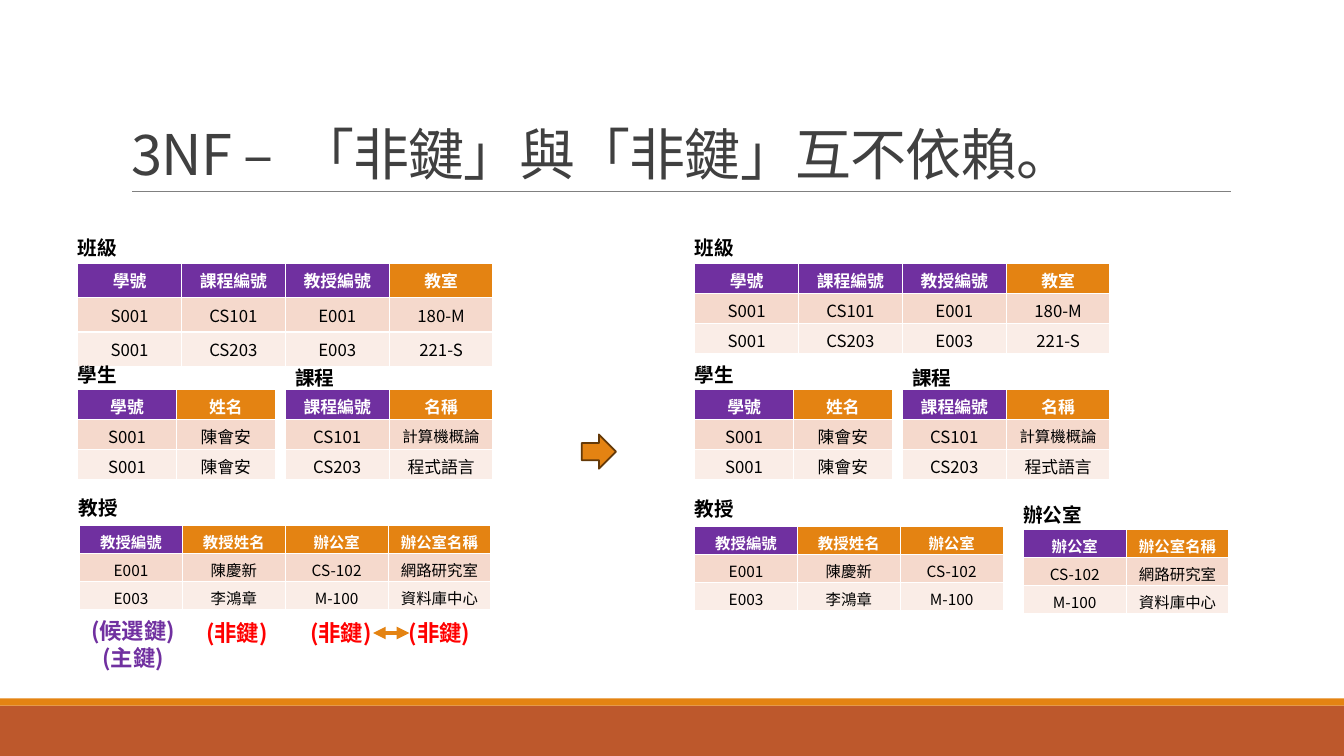
from lxml import etree
from pptx import Presentation
from pptx.dml.color import RGBColor
from pptx.enum.shapes import MSO_CONNECTOR, MSO_SHAPE
from pptx.enum.text import MSO_ANCHOR, MSO_AUTO_SIZE, PP_ALIGN
from pptx.oxml.ns import qn
from pptx.util import Inches, Pt

LEFT, MID = PP_ALIGN.LEFT, PP_ALIGN.CENTER
RECT, DOWN = MSO_SHAPE.RECTANGLE, MSO_SHAPE.DOWN_ARROW
LINE = MSO_CONNECTOR.STRAIGHT
GROW = MSO_AUTO_SIZE.SHAPE_TO_FIT_TEXT

# Title pieces with their letter spacing, in hundredths of a point
TITLE = [("3NF –", -50), (" ", 900), ("「非鍵」與「非鍵」互不依賴。", -50)]

CLASS = [("學號", "課程編號", "教授編號", "教室"),
         ("S001", "CS101", "E001", "180-M"),
         ("S001", "CS203", "E003", "221-S")]
STUDENT = [("學號", "姓名"), ("S001", "陳會安"), ("S001", "陳會安")]
COURSE = [("課程編號", "名稱"), ("CS101", "計算機概論"), ("CS203", "程式語言")]
STAFF = [("教授編號", "教授姓名", "辦公室", "辦公室名稱"),
         ("E001", "陳慶新", "CS-102", "網路研究室"),
         ("E003", "李鴻章", "M-100", "資料庫中心")]
STAFF_3NF = [row[:3] for row in STAFF]
OFFICE = [row[2:] for row in STAFF]


class Theme:
    font = "Noto Sans CJK SC"
    key, accent, band = "7030A0", "E48312", "BD582C"
    rows = ("F5D9CC", "FAEDE7")
    white, black, red = "FFFFFF", "000000", "FF0000"
    title, rule, edge = "404040", "808080", "643908"
    head_size, mark_size, name_size = 40, 16, 14
    cell_size, small_size = 12, 11


BEFORE, AFTER = 0.77, 6.89
# rows, left, top, column width, key columns, text size, bottom margin
TABLES = [
    (CLASS, BEFORE, 2.61, 1.03, 3, Theme.cell_size, 0.05),
    (CLASS, AFTER, 2.61, 1.03, 3, Theme.cell_size, 0),
    (STAFF, 0.79, 5.21, 1.02, 1, Theme.small_size, 0),
    (STAFF_3NF, AFTER, 5.22, 1.02, 1, Theme.small_size, 0),
    (OFFICE, 10.15, 5.25, 1.02, 1, Theme.small_size, 0),
]
NAMES = [("教授", 0.68, 4.87, 0.74), ("教授", 6.79, 4.88, 0.74),
         ("辦公室", 10.05, 4.94, 1.04)]
for side in (BEFORE, AFTER):
    TABLES += [(STUDENT, side, 3.86, 0.98, 1, Theme.cell_size, 0),
               (COURSE, side + 2.06, 3.86, 1.03, 1, Theme.cell_size, 0)]
    NAMES += [("班級", side - 0.1, 2.29, 0.74),
              ("學生", side - 0.1, 3.55, 0.74),
              ("課程", side + 2.06, 3.58, 0.74)]
MARKS = [("(候選鍵)\n(主鍵)", 0.68, 6.07, 0.64, Theme.key)]
MARKS += [("(非鍵)", x, 6.09, 0.37, Theme.red) for x in (1.71, 2.74, 3.72)]


def rgb(code):
    return RGBColor.from_string(code)


def style(frame, size, color, bold=False, align=LEFT):
    for para in frame.paragraphs:
        para.alignment = align
        for run in para.runs:
            font = run.font
            font.name, font.size, font.bold = Theme.font, Pt(size), bold
            font.color.rgb = rgb(color)
            east = etree.SubElement(run._r.get_or_add_rPr(), qn("a:ea"))
            east.set("typeface", Theme.font)


def add_title(slide):
    head = slide.shapes.title
    head.left, head.top = Inches(1.2), Inches(0.31)
    head.width, head.height = Inches(11), Inches(1.59)
    frame = head.text_frame
    frame.auto_size = MSO_AUTO_SIZE.NONE
    frame.vertical_anchor = MSO_ANCHOR.BOTTOM
    para = frame.paragraphs[0]
    para.line_spacing = 0.85
    for text, gap in TITLE:
        run = para.add_run()
        run.text = text
        run._r.get_or_add_rPr().set("spc", str(gap))
    style(frame, Theme.head_size, Theme.title)


def add_text(slide, text, x, y, w, h, size, color, align=LEFT):
    box = slide.shapes.add_textbox(Inches(x), Inches(y), Inches(w), Inches(h))
    frame = box.text_frame
    frame.word_wrap, frame.auto_size = True, GROW
    frame.text = text
    style(frame, size, color, True, align)


def add_grid(slide, rows, x, y, col, keys, size, foot):
    tall = 0.3 if size == Theme.cell_size else 0.28
    count = len(rows[0])
    grid = slide.shapes.add_table(
        len(rows), count, Inches(x), Inches(y),
        Inches(col * count), Inches(tall * len(rows))).table
    for r, row in enumerate(rows):
        for c, text in enumerate(row):
            cell = grid.cell(r, c)
            cell.text = text
            cell.margin_top, cell.margin_bottom = Inches(0.05), Inches(foot)
            if r:
                fill, ink = Theme.rows[r - 1], Theme.black
            else:
                fill, ink = Theme.key if c < keys else Theme.accent, Theme.white
            cell.fill.solid()
            cell.fill.fore_color.rgb = rgb(fill)
            point = Theme.small_size if text == "計算機概論" else size
            style(cell.text_frame, point, ink, r == 0, MID)


def add_block(slide, kind, x, y, w, h, fill):
    block = slide.shapes.add_shape(kind, Inches(x), Inches(y), Inches(w), Inches(h))
    block.shadow.inherit = False
    block.fill.solid()
    block.fill.fore_color.rgb = rgb(fill)
    block.line.fill.background()
    return block


def add_line(slide, x, end, y, color, width, heads=()):
    line = slide.shapes.add_connector(LINE, Inches(x), Inches(y), Inches(end), Inches(y))
    line.line.color.rgb, line.line.width = rgb(color), Pt(width)
    for tag in heads:
        etree.SubElement(line.line._get_or_add_ln(), qn(tag)).set("type", "triangle")
    etree.SubElement(line._element.spPr, qn("a:effectLst"))


def main():
    deck = Presentation()
    deck.slide_width, deck.slide_height = Inches(13.33), Inches(7.5)
    slide = deck.slides.add_slide(deck.slide_layouts[5])
    add_block(slide, RECT, 0, 7, 13.33, 0.5, Theme.band)
    add_block(slide, RECT, 0, 6.93, 13.33, 0.07, Theme.accent)
    add_line(slide, 1.31, 12.21, 1.9, Theme.rule, 0.5)
    add_title(slide)
    for table in TABLES:
        add_grid(slide, *table)
    for text, x, y, w in NAMES:
        add_text(slide, text, x, y, w, 0.34, Theme.name_size, Theme.black)
    for text, x, y, h, color in MARKS:
        add_text(slide, text, x, y, 1.28, h, Theme.mark_size, color, MID)
    add_line(slide, 3.7, 4.06, 6.28, Theme.accent, 3, ("a:headEnd", "a:tailEnd"))
    arrow = add_block(slide, DOWN, 5.77, 4.31, 0.34, 0.34, Theme.accent)
    arrow.rotation = 270
    arrow.line.color.rgb, arrow.line.width = rgb(Theme.edge), Pt(1.25)
    deck.save("out.pptx")


if __name__ == "__main__":
    main()
